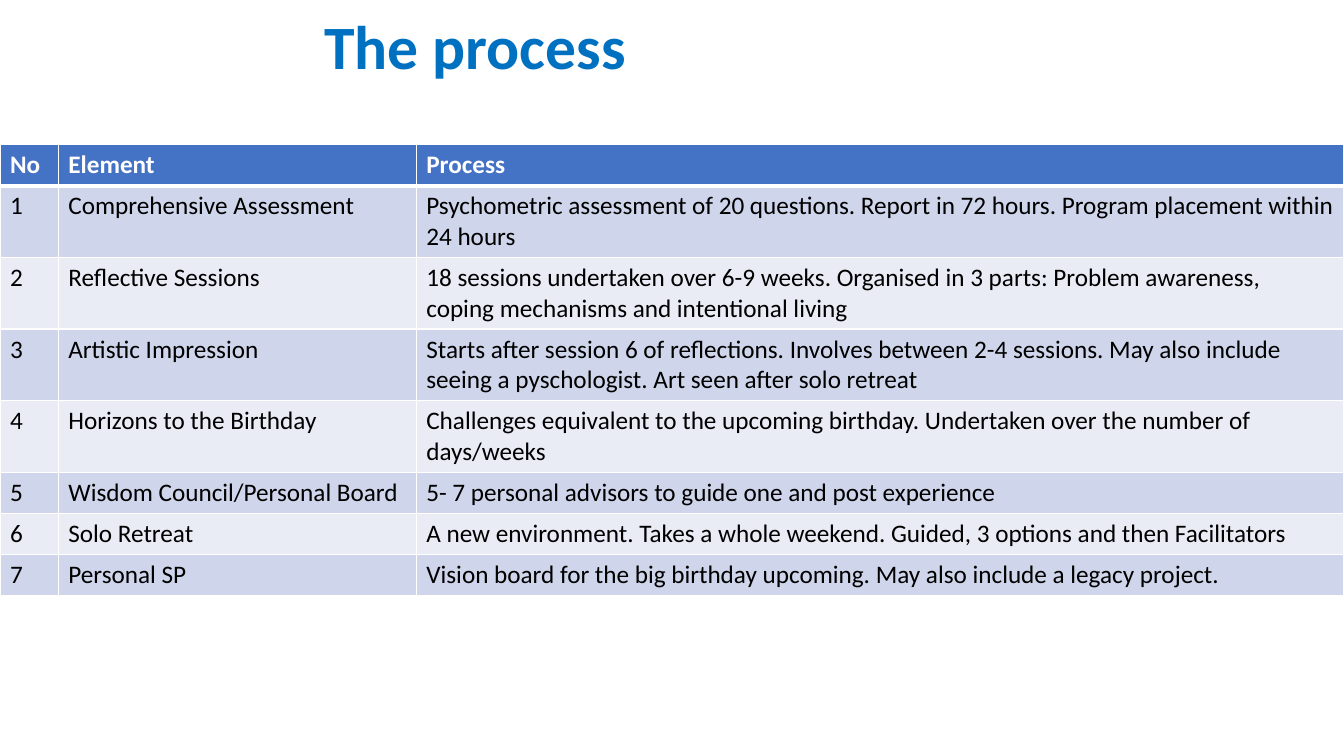
from dataclasses import dataclass

from lxml import etree
from pptx import Presentation
from pptx.dml.color import RGBColor
from pptx.enum.text import MSO_ANCHOR, PP_ALIGN
from pptx.oxml.ns import qn
from pptx.util import Cm, Pt

LEFT = PP_ALIGN.LEFT
MIDDLE = MSO_ANCHOR.MIDDLE

WIDE, HIGH = 33.87, 19.05
WIDTHS = (1.47, 9.02, 23.38)
ROW = 1.04
HEAD = ("No", "Element", "Process")
STEPS = (
    ("Comprehensive Assessment",
     "Psychometric assessment of 20 questions. Report in 72 hours. "
     "Program placement within 24 hours"),
    ("Reflective Sessions",
     "18 sessions undertaken over 6-9 weeks. Organised in 3 parts: "
     "Problem awareness, coping mechanisms and intentional living"),
    ("Artistic Impression",
     "Starts after session 6 of reflections. Involves between 2-4 sessions. "
     "May also include seeing a pyschologist. Art seen after solo retreat"),
    ("Horizons to the Birthday",
     "Challenges equivalent to the upcoming birthday. "
     "Undertaken over the number of days/weeks"),
    ("Wisdom Council/Personal Board",
     "5- 7 personal advisors to guide one and post experience"),
    ("Solo Retreat",
     "A new environment. Takes a whole weekend. "
     "Guided, 3 options and then Facilitators"),
    ("Personal SP",
     "Vision board for the big birthday upcoming. "
     "May also include a legacy project."),
)


@dataclass(frozen=True)
class Theme:
    font: str = "Calibri"
    title: str = "0070C0"
    white: str = "FFFFFF"
    black: str = "000000"
    head: str = "4472C4"
    bands: tuple = ("CFD5EA", "E9EBF5")
    big: int = 44
    small: int = 18
    thin: int = 1
    thick: int = 3


class Deck:
    def __init__(self, theme, slide):
        self.theme = theme
        self.slide = slide

    def style(self, para, size, color, bold):
        font = para.font
        font.name = self.theme.font
        font.size = Pt(size)
        font.bold = bold
        font.color.rgb = RGBColor.from_string(color)

    def title(self, text, left, top, width, height):
        box = self.slide.shapes.title
        box.left, box.top = Cm(left), Cm(top)
        box.width, box.height = Cm(width), Cm(height)
        box.fill.solid()
        box.fill.fore_color.rgb = RGBColor.from_string(self.theme.white)
        tint = box.fill._xPr.find(qn("a:solidFill"))[0]
        etree.SubElement(tint, qn("a:alpha"), val="53000")
        frame = box.text_frame
        frame.text = text
        frame.vertical_anchor = MIDDLE
        para = frame.paragraphs[0]
        para.alignment = LEFT
        para.line_spacing = 0.9
        self.style(para, self.theme.big, self.theme.title, True)

    def border(self, cell, side, width):
        line = etree.SubElement(cell._tc.get_or_add_tcPr(), qn("a:ln" + side),
                                w=str(Pt(width)))
        fill = etree.SubElement(line, qn("a:solidFill"))
        etree.SubElement(fill, qn("a:srgbClr"), val=self.theme.white)

    def cell(self, cell, text, row):
        theme = self.theme
        top = theme.thick if row == 1 else theme.thin
        base = theme.thick if row == 0 else theme.thin
        for side, width in zip("LRTB", (theme.thin, theme.thin, top, base)):
            self.border(cell, side, width)
        cell.fill.solid()
        fill = theme.bands[(row - 1) % 2] if row else theme.head
        cell.fill.fore_color.rgb = RGBColor.from_string(fill)
        cell.text = text
        color = theme.black if row else theme.white
        self.style(cell.text_frame.paragraphs[0], theme.small, color, row == 0)

    def table(self, rows, widths, left, top):
        table = self.slide.shapes.add_table(
            len(rows), len(widths), Cm(left), Cm(top),
            Cm(sum(widths)), Cm(ROW * len(rows))).table
        for column, width in zip(table.columns, widths):
            column.width = Cm(width)
        for row, texts in enumerate(rows):
            for col, text in enumerate(texts):
                self.cell(table.cell(row, col), text, row)


def main():
    show = Presentation()
    show.slide_width, show.slide_height = Cm(WIDE), Cm(HIGH)
    deck = Deck(Theme(), show.slides.add_slide(show.slide_layouts[5]))
    deck.title("The process", 7.92, 0, 25.95, 2.51)
    steps = [(str(no), *step) for no, step in enumerate(STEPS, 1)]
    deck.table([HEAD, *steps], WIDTHS, 0, 3.64)
    show.save("out.pptx")


if __name__ == "__main__":
    main()
